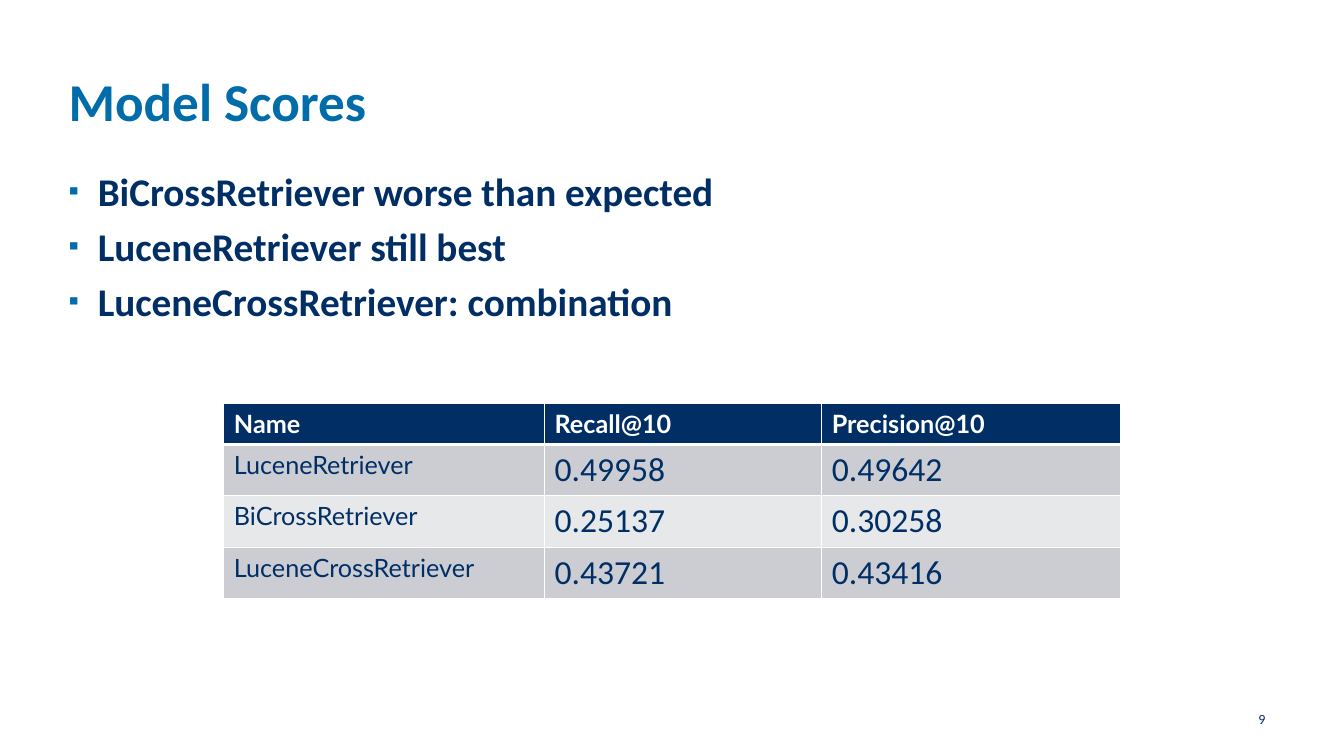
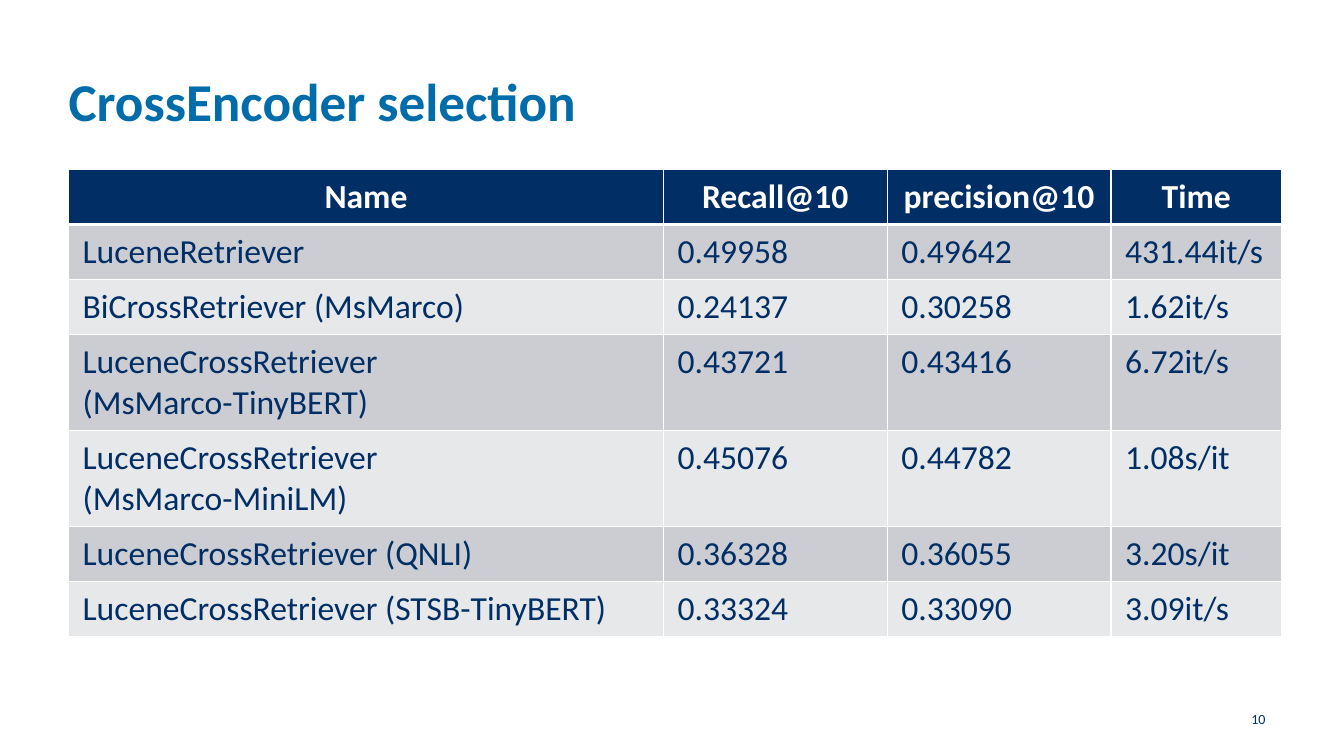
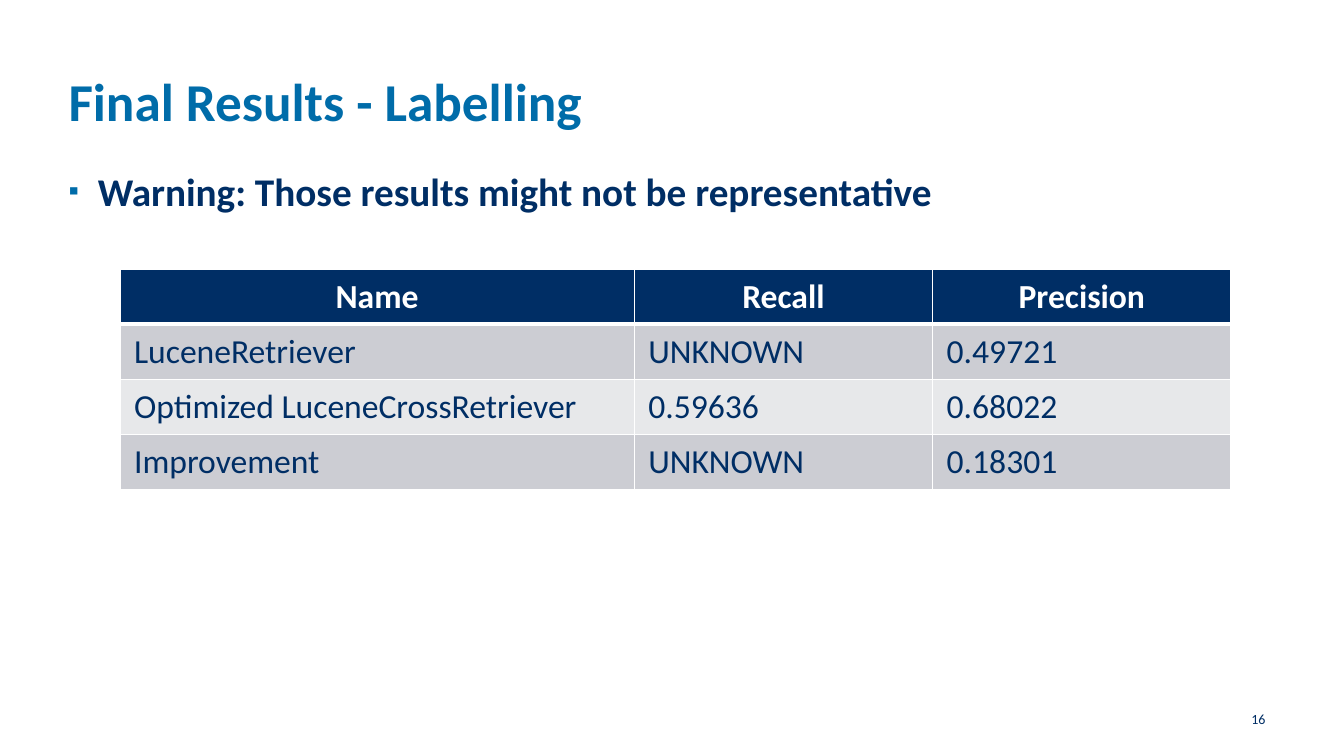
from dataclasses import dataclass

from lxml import etree
from pptx import Presentation
from pptx.dml.color import RGBColor
from pptx.enum.text import MSO_ANCHOR, MSO_AUTO_SIZE, PP_ALIGN
from pptx.oxml.ns import qn
from pptx.util import Inches, Pt

LEFT, CENTER = PP_ALIGN.LEFT, PP_ALIGN.CENTER
RIGHT, JUSTIFY = PP_ALIGN.RIGHT, PP_ALIGN.JUSTIFY
TOP, MIDDLE = MSO_ANCHOR.TOP, MSO_ANCHOR.MIDDLE
NO_AUTOFIT = MSO_AUTO_SIZE.NONE
TITLE_ONLY = 5


@dataclass(frozen=True)
class Theme:
    blue: str = "006CA9"
    navy: str = "002E65"
    white: str = "FFFFFF"
    bands: tuple = ("CCCDD3", "E7E8EA")
    font: str = "Calibri"
    label_font: str = "Lato"
    title_size: int = 38
    bullet_size: int = 28
    table_size: int = 24
    label_size: int = 18
    number_size: int = 10
    margin: float = 0.68
    content_width: float = 11.97


class Deck:
    def __init__(self, theme):
        self.theme = theme
        self.presentation = Presentation()
        self.presentation.slide_width = Inches(13.33)
        self.presentation.slide_height = Inches(7.5)
        self.slide = None

    def style(self, paragraph, size, color, bold=False, align=LEFT, font=None):
        paragraph.alignment = align
        paragraph.font.name = font or self.theme.font
        paragraph.font.size = Pt(size)
        paragraph.font.bold = bold
        paragraph.font.color.rgb = RGBColor.from_string(color)

    def frame(self, shape, anchor=TOP, inset=0.0):
        frame = shape.text_frame
        frame.word_wrap = True
        frame.auto_size = NO_AUTOFIT
        frame.vertical_anchor = anchor
        frame.margin_left = frame.margin_right = Inches(inset)
        frame.margin_top = frame.margin_bottom = Inches(inset / 2)
        return frame

    def add_slide(self, heading, number):
        theme = self.theme
        layout = self.presentation.slide_layouts[TITLE_ONLY]
        self.slide = self.presentation.slides.add_slide(layout)
        title = self.slide.shapes.title
        title.left, title.top = Inches(theme.margin), Inches(0.68)
        title.width, title.height = Inches(theme.content_width), Inches(0.87)
        frame = self.frame(title)
        frame.text = heading
        self.style(frame.paragraphs[0], theme.title_size, theme.blue, bold=True)

        page = self.slide.shapes.add_textbox(
            Inches(9.76), Inches(6.93), Inches(2.89), Inches(0.4))
        frame = self.frame(page, MIDDLE, 0.1)
        frame.text = str(number)
        self.style(frame.paragraphs[0], theme.number_size, theme.navy, align=RIGHT)

    def add_bullets(self, *points):
        theme = self.theme
        body = self.slide.shapes.add_textbox(
            Inches(theme.margin), Inches(1.66),
            Inches(theme.content_width), Inches(5.16))
        frame = self.frame(body)
        frame.text = "\n".join(points)
        for paragraph in frame.paragraphs:
            paragraph.space_before = Pt(theme.bullet_size * 0.2)
            self.mark(paragraph)
            self.style(paragraph, theme.bullet_size, theme.navy, bold=True)

    def mark(self, paragraph):
        properties = paragraph._p.get_or_add_pPr()
        indent = Inches(0.29)
        properties.set("marL", str(indent))
        properties.set("indent", str(-indent))
        color = etree.SubElement(properties, qn("a:buClr"))
        etree.SubElement(color, qn("a:srgbClr"), val=self.theme.blue)
        etree.SubElement(properties, qn("a:buSzPct"), val="75000")
        etree.SubElement(properties, qn("a:buFont"), typeface="Arial")
        etree.SubElement(properties, qn("a:buChar"), char="▪")

    def add_table(self, left, top, widths, heights, rows, inset=0.14, labelled=False):
        theme = self.theme
        table = self.slide.shapes.add_table(
            len(rows), len(widths), Inches(left), Inches(top),
            Inches(sum(widths)), Inches(sum(heights))).table
        for column, width in zip(table.columns, widths):
            column.width = Inches(width)
        for row, height in zip(table.rows, heights):
            row.height = Inches(height)
        for r, texts in enumerate(rows):
            header = r == 0
            for c, text in enumerate(texts):
                cell = table.cell(r, c)
                cell.text = text
                cell.margin_left = cell.margin_right = Inches(inset)
                cell.margin_top = cell.margin_bottom = Inches(inset / 2)
                cell.fill.solid()
                fill = theme.navy if header else theme.bands[(r - 1) % 2]
                cell.fill.fore_color.rgb = RGBColor.from_string(fill)
                self.add_borders(cell, r)
                label = labelled and (header or c == 0)
                if labelled:
                    align = LEFT
                else:
                    align = CENTER if header else JUSTIFY
                self.style(
                    cell.text_frame.paragraphs[0],
                    theme.label_size if label else theme.table_size,
                    theme.white if header else theme.navy,
                    bold=header, align=align,
                    font=theme.label_font if label else theme.font)

    def add_borders(self, cell, row):
        widths = {"lnL": 1, "lnR": 1,
                  "lnT": 3 if row == 1 else 1,
                  "lnB": 3 if row == 0 else 1}
        properties = cell._tc.get_or_add_tcPr()
        for position, (side, width) in enumerate(widths.items()):
            line = etree.Element(qn(f"a:{side}"), w=str(Pt(width)))
            fill = etree.SubElement(line, qn("a:solidFill"))
            etree.SubElement(fill, qn("a:srgbClr"), val=self.theme.white)
            properties.insert(position, line)


def main():
    deck = Deck(Theme())

    deck.add_slide("Model Scores", 9)
    deck.add_bullets(
        "BiCrossRetriever worse than expected",
        "LuceneRetriever still best",
        "LuceneCrossRetriever: combination")
    deck.add_table(2.22, 4, (3.18, 2.75, 2.96), (0.41,) + (0.51,) * 3, (
        ("Name", "Recall@10", "Precision@10"),
        ("LuceneRetriever", "0.49958", "0.49642"),
        ("BiCrossRetriever", "0.25137", "0.30258"),
        ("LuceneCrossRetriever", "0.43721", "0.43416"),
    ), inset=0.1, labelled=True)

    deck.add_slide("CrossEncoder selection", 10)
    line, double = 0.54, 0.95
    heights = (line, line, line, double, double, line, line)
    deck.add_table(0.68, 1.68, (5.9, 2.22, 2.22, 1.69), heights, (
        ("Name", "Recall@10", "precision@10", "Time"),
        ("LuceneRetriever", "0.49958", "0.49642", "431.44it/s"),
        ("BiCrossRetriever (MsMarco)", "0.24137", "0.30258", "1.62it/s"),
        ("LuceneCrossRetriever\v(MsMarco-TinyBERT)", "0.43721", "0.43416", "6.72it/s"),
        ("LuceneCrossRetriever\v(MsMarco-MiniLM)", "0.45076", "0.44782", "1.08s/it"),
        ("LuceneCrossRetriever (QNLI)", "0.36328", "0.36055", "3.20s/it"),
        ("LuceneCrossRetriever (STSB-TinyBERT)", "0.33324", "0.33090", "3.09it/s"),
    ))

    deck.add_slide("Final Results - Labelling", 16)
    deck.add_bullets("Warning: Those results might not be representative")
    deck.add_table(1.19, 2.67, (5.1, 2.96, 2.96), (line,) * 4, (
        ("Name", "Recall", "Precision"),
        ("LuceneRetriever", "UNKNOWN", "0.49721"),
        ("Optimized LuceneCrossRetriever", "0.59636", "0.68022"),
        ("Improvement", "UNKNOWN", "0.18301"),
    ))

    deck.presentation.save("out.pptx")


if __name__ == "__main__":
    main()
